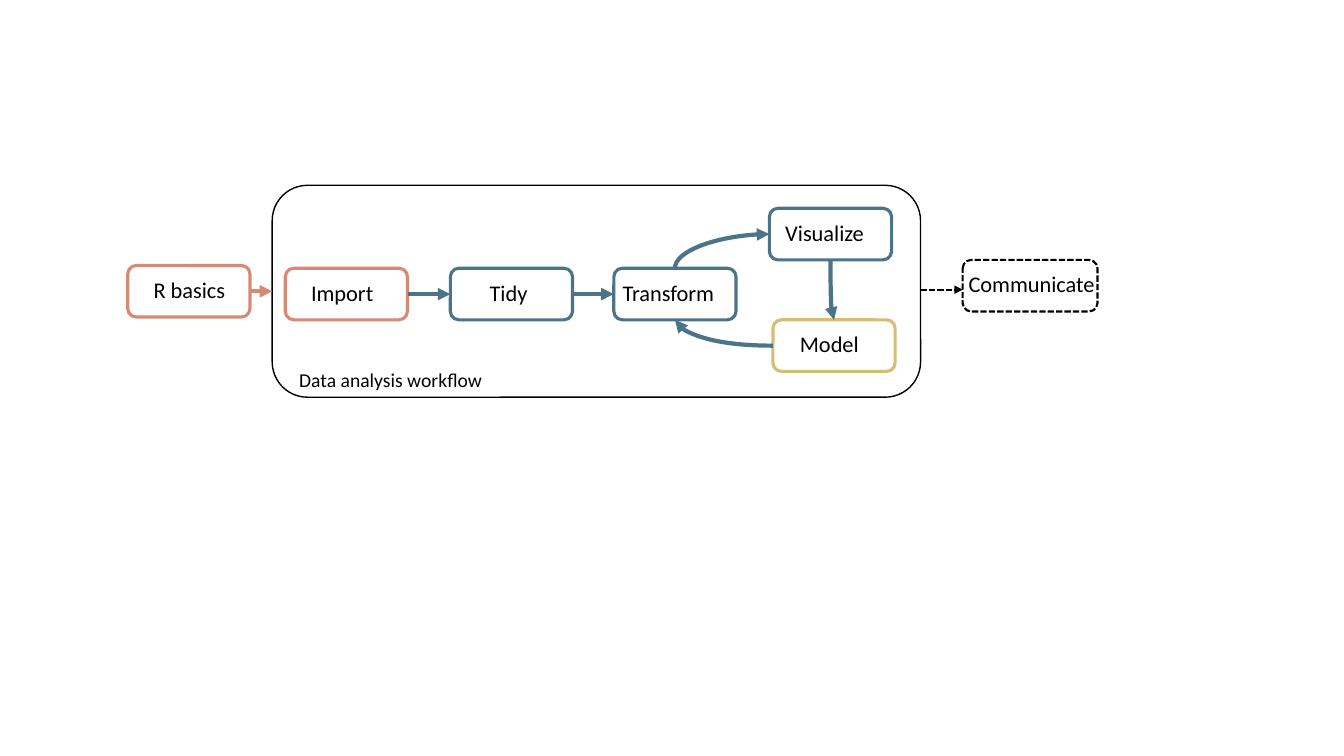
from dataclasses import dataclass
from lxml import etree
from pptx import Presentation
from pptx.dml.color import RGBColor
from pptx.enum.dml import MSO_LINE
from pptx.enum.shapes import MSO_CONNECTOR, MSO_SHAPE
from pptx.enum.text import MSO_AUTO_SIZE
from pptx.oxml.ns import qn
from pptx.util import Cm, Pt

ROUNDED = MSO_SHAPE.ROUNDED_RECTANGLE
STRAIGHT, CURVE = MSO_CONNECTOR.STRAIGHT, MSO_CONNECTOR.CURVE
DASH = MSO_LINE.SQUARE_DOT
FIT_SHAPE = MSO_AUTO_SIZE.SHAPE_TO_FIT_TEXT
TOP, LEFT, BOTTOM, RIGHT = range(4)


@dataclass(frozen=True)
class Theme:
    font: str = "Calibri"
    step_size: int = 16
    caption_size: int = 14
    box_line: float = 2.25
    arrow_line: float = 3
    dash_line: float = 1.5
    frame_line: float = 1
    coral: str = "D78974"
    blue: str = "4C7488"
    gold: str = "D7BC74"
    black: str = "000000"


THEME = Theme()

# Content, lengths in cm
BOX_WIDTH, BOX_HEIGHT = 3.08, 1.3
LABEL_DROP, LABEL_HEIGHT = 0.14, 0.94

# name, left, top, colour, label indent, label width
STEPS = [
    ("Import", 7.19, 6.76, THEME.coral, 0.4, 2.11),
    ("Tidy", 11.35, 6.76, THEME.blue, 0.74, 1.47),
    ("Model", 19.48, 8.06, THEME.gold, 0.43, 2.01),
    ("Visualize", 19.39, 5.25, THEME.blue, 0.15, 2.51),
    ("Transform", 15.47, 6.76, THEME.blue, -0.03, 2.84),
    ("R basics", 3.22, 6.69, THEME.coral, 0.4, 2.34),
]
OUTCOME = ("Communicate", 24.26, 6.55, 3.4, -0.1, 3.78)
FRAME = ("Data analysis workflow", 6.86, 4.67, 16.34, 5.34)
CAPTION = (7.29, 9.14, 5.18, 0.86)
OUTCOME_ARROW_Y = 7.3

# from, to, colour
STRAIGHT_ARROWS = [
    ("Import", "Tidy", THEME.blue),
    ("Tidy", "Transform", THEME.blue),
    ("R basics", FRAME[0], THEME.coral),
]
# from, side, to, side, preset, rotation, flips, bend
CURVED_ARROWS = [
    ("Transform", TOP, "Visualize", LEFT, "curvedConnector2", 90, ("flipH", "flipV"), None),
    ("Visualize", BOTTOM, "Model", TOP, "curvedConnector3", 270, ("flipH",), 96300),
    ("Model", LEFT, "Transform", BOTTOM, "curvedConnector2", 180, (), None),
]

deck = Presentation()
deck.slide_width, deck.slide_height = Cm(33.87), Cm(19.05)
page = deck.slides.add_slide(deck.slide_layouts[6])
boxes = {}


def style_line(shape, colour, width, dash=None):
    shape.line.color.rgb = RGBColor.from_string(colour)
    shape.line.width = Pt(width)
    if dash:
        shape.line.dash_style = dash


def add_box(name, left, top, width, height, colour, line, dash=None):
    box = page.shapes.add_shape(ROUNDED, Cm(left), Cm(top), Cm(width), Cm(height))
    box.shadow.inherit = False
    box.fill.background()
    style_line(box, colour, line, dash)
    boxes[name] = box


def add_label(text, left, top, width, height, size):
    label = page.shapes.add_textbox(Cm(left), Cm(top), Cm(width), Cm(height))
    frame = label.text_frame
    frame.word_wrap = False
    frame.auto_size = FIT_SHAPE
    para = frame.paragraphs[0]
    para.text = text
    para.font.name, para.font.size = THEME.font, Pt(size)
    para.font.color.rgb = RGBColor.from_string(THEME.black)


def add_arrow(kind, ends, colour, width, dash=None):
    arrow = page.shapes.add_connector(kind, *ends)
    style_line(arrow, colour, width, dash)
    line = arrow._element.spPr.find(qn("a:ln"))
    etree.SubElement(line, qn("a:tailEnd"), type="triangle")
    etree.SubElement(arrow._element.spPr, qn("a:effectLst"))
    return arrow


def join(arrow, start, start_side, end, end_side):
    arrow.begin_connect(boxes[start], start_side)
    arrow.end_connect(boxes[end], end_side)


def bend(arrow, preset, rotation, flips, adjustment):
    """Turn the connector's frame about its centre and set its curve."""
    left, top, width, height = arrow.left, arrow.top, arrow.width, arrow.height
    if rotation % 180:
        arrow.left = left + (width - height) // 2
        arrow.top = top + (height - width) // 2
        arrow.width, arrow.height = height, width
    transform = arrow._element.spPr.find(qn("a:xfrm"))
    for flip in ("flipH", "flipV"):
        transform.set(flip, "1" if flip in flips else "0")
    transform.set("rot", str(rotation * 60000))
    geometry = arrow._element.spPr.find(qn("a:prstGeom"))
    geometry.set("prst", preset)
    if adjustment:
        guides = geometry.find(qn("a:avLst"))
        etree.SubElement(guides, qn("a:gd"), name="adj1", fmla=f"val {adjustment}")


# Steps
for name, left, top, colour, indent, label_width in STEPS:
    add_box(name, left, top, BOX_WIDTH, BOX_HEIGHT, colour, THEME.box_line)
    add_label(name, left + indent, top + LABEL_DROP, label_width, LABEL_HEIGHT,
              THEME.step_size)

# Outcome
name, left, top, width, indent, label_width = OUTCOME
add_box(name, left, top, width, BOX_HEIGHT, THEME.black, THEME.dash_line, DASH)
add_label(name, left + indent, top + LABEL_DROP, label_width, LABEL_HEIGHT,
          THEME.step_size)

# Workflow frame
add_box(*FRAME, THEME.black, THEME.frame_line)
add_label(FRAME[0], *CAPTION, THEME.caption_size)

# Straight arrows
for start, end, colour in STRAIGHT_ARROWS:
    arrow = add_arrow(STRAIGHT, (0, 0, 0, 0), colour, THEME.arrow_line)
    join(arrow, start, RIGHT, end, LEFT)

frame_right = Cm(FRAME[1] + FRAME[3])
add_arrow(STRAIGHT, (frame_right, Cm(OUTCOME_ARROW_Y), Cm(OUTCOME[1]), Cm(OUTCOME_ARROW_Y)),
          THEME.black, THEME.dash_line, DASH)

# Curved arrows
for start, start_side, end, end_side, *curve in CURVED_ARROWS:
    arrow = add_arrow(CURVE, (0, 0, 0, 0), THEME.blue, THEME.arrow_line)
    join(arrow, start, start_side, end, end_side)
    bend(arrow, *curve)

deck.save("out.pptx")
